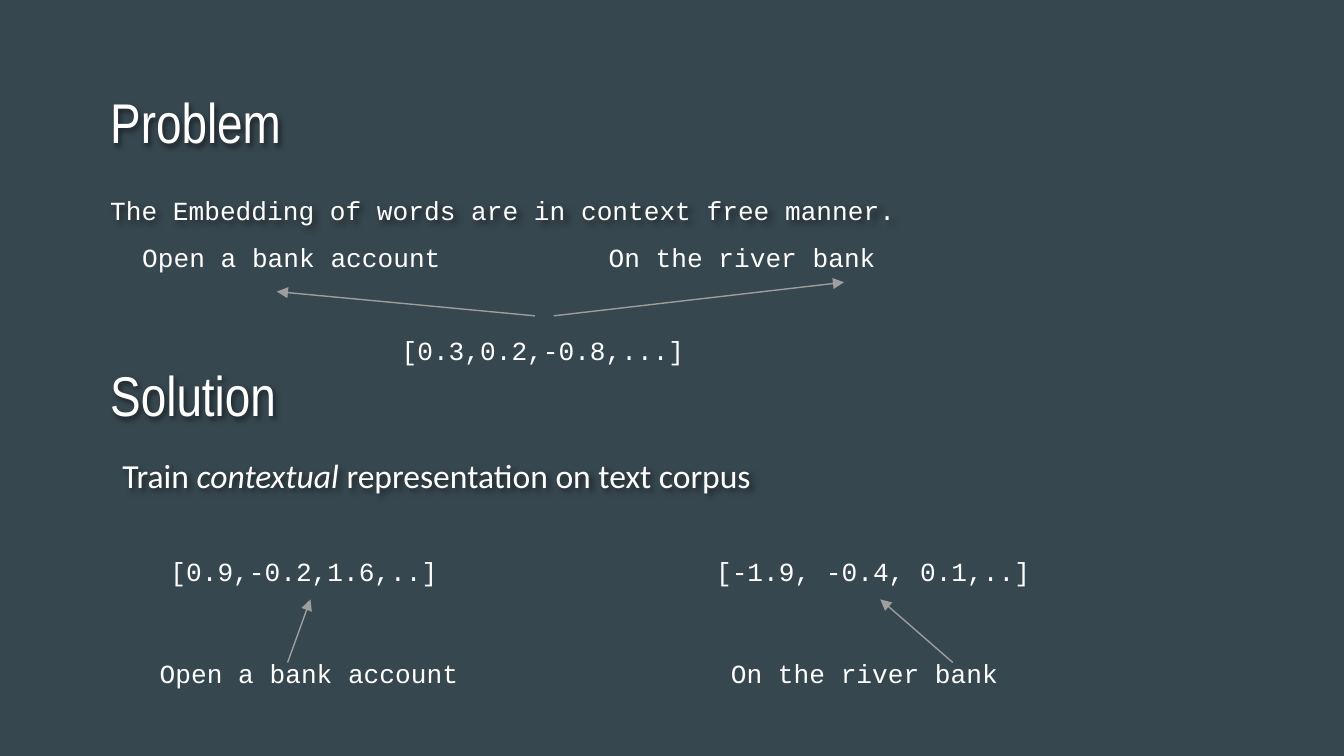
from dataclasses import dataclass

from lxml import etree
from pptx import Presentation
from pptx.dml.color import RGBColor
from pptx.enum.shapes import MSO_CONNECTOR
from pptx.enum.text import MSO_ANCHOR, MSO_AUTO_SIZE
from pptx.oxml.ns import qn
from pptx.util import Inches, Pt

STRAIGHT = MSO_CONNECTOR.STRAIGHT
TOP, MIDDLE = MSO_ANCHOR.TOP, MSO_ANCHOR.MIDDLE
GROW = MSO_AUTO_SIZE.SHAPE_TO_FIT_TEXT


@dataclass(frozen=True)
class Theme:
    background: RGBColor = RGBColor(0x37, 0x47, 0x4F)
    text: RGBColor = RGBColor(0xFF, 0xFF, 0xFF)
    arrow: RGBColor = RGBColor(0x9E, 0x9E, 0x9E)
    shadow: RGBColor = RGBColor(0x00, 0x00, 0x00)
    heading_font: str = "Arial Narrow"
    body_font: str = "Calibri"
    code_font: str = "Courier New"
    heading_size: int = 30
    body_size: int = 18
    code_size: int = 14


THEME = Theme()


def add_shadow(sp):
    """Give the text of an unfilled box a soft dark shadow."""
    effects = etree.SubElement(sp._element.spPr, qn("a:effectLst"))
    shadow = etree.SubElement(effects, qn("a:outerShdw"), blurRad="38100",
                              dist="25400", dir="2700000", algn="tl", rotWithShape="0")
    color = etree.SubElement(shadow, qn("a:srgbClr"), val=str(THEME.shadow))
    etree.SubElement(color, qn("a:alpha"), val="50000")


def add_text(slide, box, runs, font, size, inset=(0.07, 0.04), anchor=TOP):
    """Add a box with one paragraph made of (text, italic) runs."""
    sp = slide.shapes.add_textbox(*map(Inches, box))
    tf = sp.text_frame
    tf.word_wrap = True
    tf.vertical_anchor = anchor
    tf.margin_left = tf.margin_right = Inches(inset[0])
    tf.margin_top = tf.margin_bottom = Inches(inset[1])
    p = tf.paragraphs[0]
    p.font.name, p.font.size = font, Pt(size)
    p.font.color.rgb = THEME.text
    for text, italic in runs:
        r = p.add_run()
        r.text = text
        if italic:
            r.font.italic = True
    return sp


def add_heading(slide, left, top, text):
    sp = add_text(slide, (left, top, 8.49, 0.8), [(text, False)],
                  THEME.heading_font, THEME.heading_size, anchor=MIDDLE)
    add_shadow(sp)


def add_statement(slide, box, runs, font, size):
    sp = add_text(slide, box, runs, font, size)
    p = sp.text_frame.paragraphs[0]
    p.line_spacing, p.space_before = 1.15, Pt(3)
    add_shadow(sp)


def add_label(slide, left, top, width, text):
    sp = add_text(slide, (left, top, width, 0.44), [(text, False)],
                  THEME.code_font, THEME.code_size, inset=(0.1, 0.1))
    sp.text_frame.auto_size = GROW


def add_arrow(slide, start, end):
    line = slide.shapes.add_connector(STRAIGHT, *map(Inches, start + end))
    line.line.color.rgb = THEME.arrow
    line.line.width = Pt(0.75)
    etree.SubElement(line.line._get_or_add_ln(), qn("a:tailEnd"), type="triangle")
    etree.SubElement(line._element.spPr, qn("a:effectLst"))


def add_problem(slide, left, top):
    """Two phrases that share a single vector."""
    add_heading(slide, left, top, "Problem")
    add_statement(slide, (left, top + 0.87, 8.49, 0.72),
                  [("The Embedding of words are in context free manner.", False)],
                  THEME.code_font, THEME.code_size)
    for dx, dy, width, text in (
        (0.21, 1.2, 2.45, "Open a bank account"),
        (3.68, 1.2, 2.28, "On the river bank"),
        (2.14, 1.89, 2.45, "[0.3,0.2,-0.8,...]"),
    ):
        add_label(slide, left + dx, top + dy, width, text)
    for x1, x2, y2 in ((3.23, 1.31, 1.67), (3.37, 5.53, 1.6)):
        add_arrow(slide, (left + x1, top + 1.85), (left + x2, top + y2))


def add_solution(slide, left, top):
    """Two phrases, each with a vector of its own."""
    add_heading(slide, left, top, "Solution")
    add_statement(slide, (left + 0.09, top + 0.77, 8.49, 0.91),
                  [("Train ", False), ("contextual", True),
                   (" representation on text corpus", False)],
                  THEME.body_font, THEME.body_size)
    for phrase, vector, x1, x2 in (
        ((0.34, 2.45, "Open a bank account"), (0.42, 2.28, "[0.9,-0.2,1.6,..]"), 1.39, 1.56),
        ((4.59, 2.28, "On the river bank"), (4.48, 2.64, "[-1.9, -0.4, 0.1,..]"), 6.34, 5.8),
    ):
        for dy, (dx, width, text) in ((2.26, phrase), (1.5, vector)):
            add_label(slide, left + dx, top + dy, width, text)
        add_arrow(slide, (left + x1, top + 2.4), (left + x2, top + 1.93))


def main():
    prs = Presentation()
    prs.slide_width = Inches(10)
    prs.slide_height = prs.slide_width * 9 // 16
    slide = prs.slides.add_slide(prs.slide_layouts[6])
    fill = slide.background.fill
    fill.solid()
    fill.fore_color.rgb = THEME.background
    add_problem(slide, 0.75, 0.5)
    add_solution(slide, 0.75, 2.53)
    prs.save("out.pptx")


if __name__ == "__main__":
    main()
